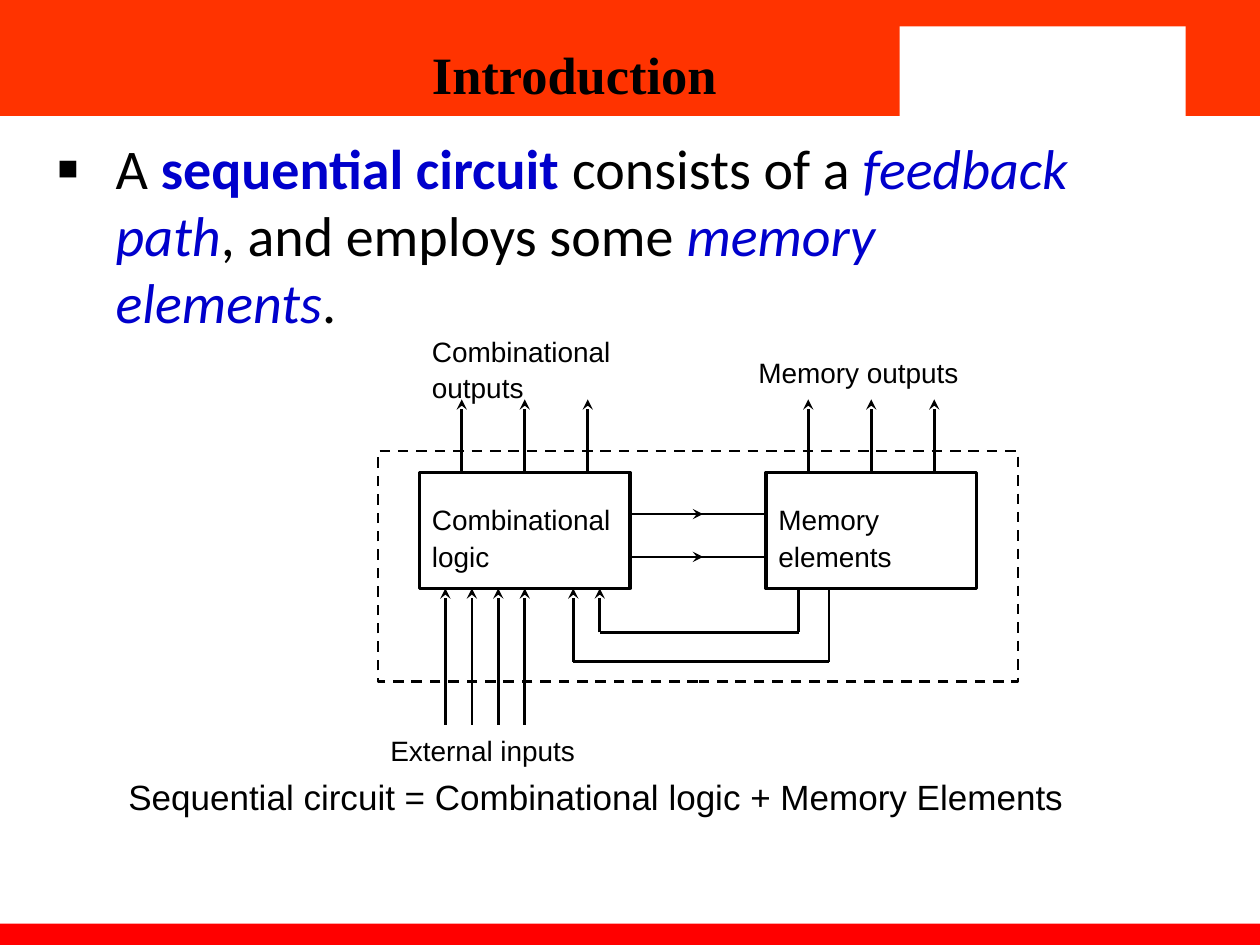
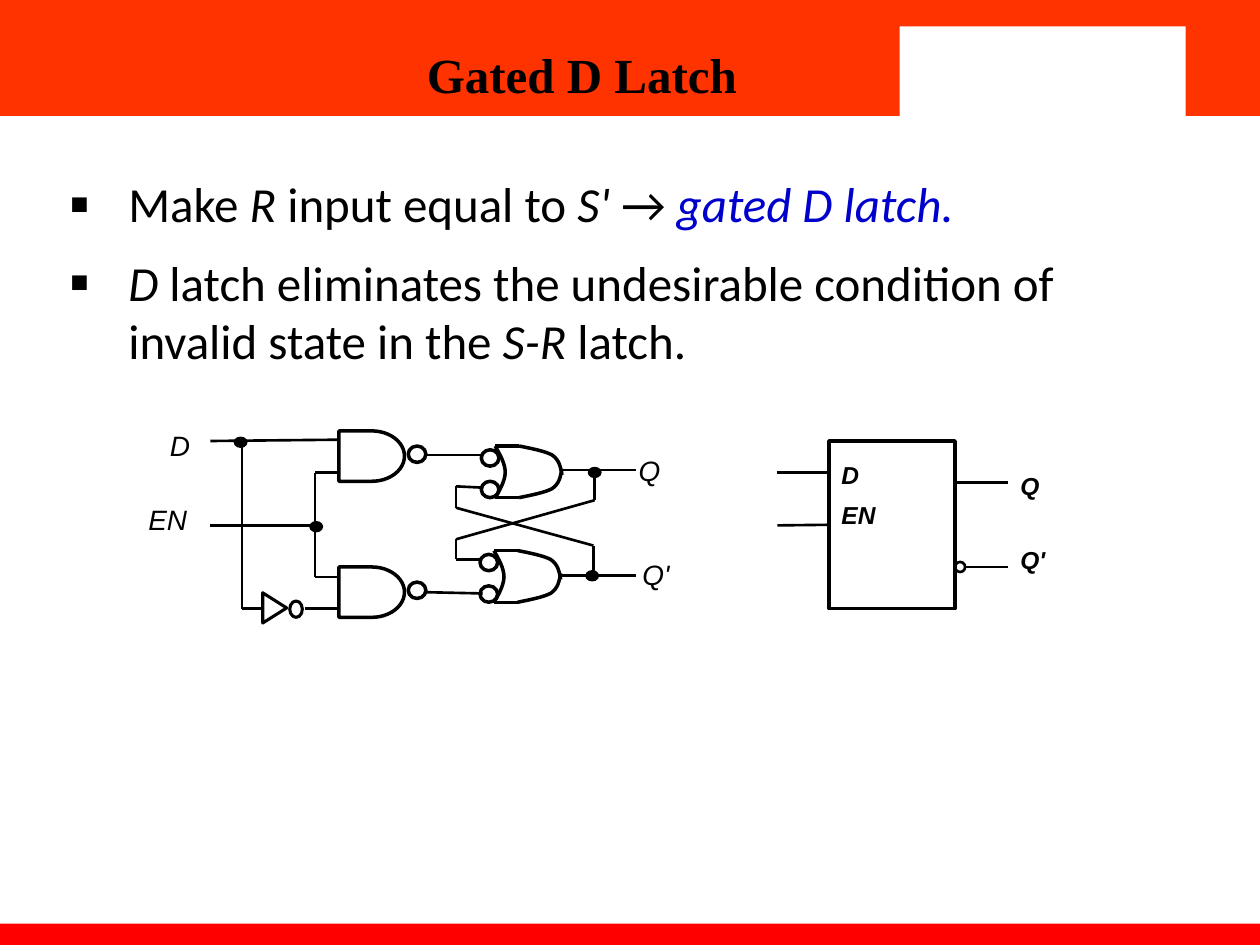
from dataclasses import dataclass

from lxml import etree
from pptx import Presentation, util as u
from pptx.dml.color import RGBColor
from pptx.enum import dml, shapes, text
from pptx.oxml.ns import qn

Inches, Pt = u.Inches, u.Pt
SHAPE = shapes.MSO_SHAPE


@dataclass(frozen=True)
class Theme:
    band: str = "FF3300"
    footer: str = "FF0000"
    ink: str = "000000"
    paper: str = "FFFFFF"
    accent: str = "0000CC"
    title_font: str = "Times New Roman"
    body_font: str = "Calibri"
    label_font: str = "Arial"
    label_size: int = 16
    symbol_size: int = 14
    formula_size: int = 20
    leading: float = 1.3
    wire: float = 1.5
    outline: float = 2
    inverter: float = 1.75
    dot: float = 0.75


THEME = Theme()


def add_span(para, words, font, size, color=THEME.ink, bold=False, italic=False):
    span = para.add_run()
    span.text = words
    span.font.name, span.font.size = font, Pt(size)
    span.font.bold, span.font.italic = bold, italic
    span.font.color.rgb = RGBColor.from_string(color)


def add_bullet(para):
    properties = para._p.get_or_add_pPr()
    properties.set("marL", str(Inches(0.5)))
    properties.set("indent", str(Inches(-0.47)))
    color = etree.SubElement(properties, qn("a:buClr"))
    etree.SubElement(color, qn("a:srgbClr"), val=THEME.ink)
    etree.SubElement(properties, qn("a:buSzPct"), val="120000")
    etree.SubElement(properties, qn("a:buFont"), typeface=THEME.label_font)
    etree.SubElement(properties, qn("a:buChar"), char="▪")


def bezier(points, steps=8):
    """Sample a chain of cubic curves given as start, then triples."""
    sampled = [points[0]]
    for first in range(0, len(points) - 1, 3):
        corners = points[first:first + 4]
        for step in range(1, steps + 1):
            t = step / steps
            weights = ((1 - t) ** 3, 3 * t * (1 - t) ** 2, 3 * t * t * (1 - t), t ** 3)
            sampled.append(tuple(sum(w * c[axis] for w, c in zip(weights, corners))
                                 for axis in (0, 1)))
    return sampled


class Painter:
    def __init__(self, deck, theme):
        self.deck, self.theme, self.page = deck, theme, None

    def start_page(self, title, left, width, size):
        self.page = self.deck.slides.add_slide(self.deck.slide_layouts[6])
        theme = self.theme
        # Header bands, white panel and footer
        for area, fill in (((0, 0, 10, 0.92), theme.band),
                           ((0, 7.33, 10, 0.17), theme.footer),
                           ((6.72, 0, 3.28, 0.92), theme.band),
                           ((7.14, 0.21, 2.27, 0.75), theme.paper)):
            self.shape(SHAPE.RECTANGLE, *area, fill=fill)
        box = self.text_box(left, 0.17, width, 0.83)
        box.vertical_anchor = text.MSO_ANCHOR.MIDDLE
        add_span(box.paragraphs[0], title, theme.title_font, size, bold=True)

    def finish(self, shape, fill, weight):
        shape.shadow.inherit = False
        if fill:
            shape.fill.solid()
            shape.fill.fore_color.rgb = RGBColor.from_string(fill)
        else:
            shape.fill.background()
        if weight:
            shape.line.color.rgb = RGBColor.from_string(self.theme.ink)
            shape.line.width = Pt(weight)
        else:
            shape.line.fill.background()
        return shape

    def shape(self, kind, left, top, width, height, fill=None, weight=None):
        shape = self.page.shapes.add_shape(
            kind, Inches(left), Inches(top), Inches(width), Inches(height))
        return self.finish(shape, fill, weight)

    def curve(self, points):
        corners = [(Inches(x), Inches(y)) for x, y in bezier(points)]
        builder = self.page.shapes.build_freeform(*corners[0])
        builder.add_line_segments(corners[1:], close=False)
        return self.finish(builder.convert_to_shape(), None, self.theme.outline)

    def line(self, x1, y1, x2, y2, weight=None, arrow=False, begin=None, end=None):
        """Draw a line; begin and end are (shape, side) joints."""
        line = self.page.shapes.add_connector(
            shapes.MSO_CONNECTOR.STRAIGHT, Inches(x1), Inches(y1), Inches(x2), Inches(y2))
        line.line.color.rgb = RGBColor.from_string(self.theme.ink)
        line.line.width = Pt(weight or self.theme.wire)
        properties = line._element.spPr
        if arrow:
            etree.SubElement(properties.find(qn("a:ln")), qn("a:tailEnd"), type="stealth")
        etree.SubElement(properties, qn("a:effectLst"))
        if begin:
            line.begin_connect(*begin)
        if end:
            line.end_connect(*end)

    def wire(self, *points):
        for start, stop in zip(points, points[1:]):
            self.line(*start, *stop)

    def dot(self, left, top):
        self.shape(SHAPE.OVAL, left, top, 0.1, 0.08, self.theme.ink, self.theme.dot)

    def bubble(self, left, top):
        self.shape(SHAPE.OVAL, left, top, 0.14, 0.13, weight=self.theme.outline)

    def text_box(self, left, top, width, height):
        box = self.page.shapes.add_textbox(
            Inches(left), Inches(top), Inches(width), Inches(height)).text_frame
        box.word_wrap = True
        return box

    def label(self, lines, left, top, width, height, size=None, gap=0, **style):
        size = size or self.theme.label_size
        box = self.text_box(left, top, width, height)
        for index, words in enumerate(lines):
            para = box.add_paragraph() if index else box.paragraphs[0]
            para.line_spacing = Pt(size * self.theme.leading)
            para.space_before = Pt(gap if index else 0)
            add_span(para, words, self.theme.label_font, size, **style)

    def bullets(self, items, left, top, width, height, size):
        box = self.text_box(left, top, width, height)
        for index, spans in enumerate(items):
            para = box.add_paragraph() if index else box.paragraphs[0]
            add_bullet(para)
            para.space_before = Pt(0.4 * size if index else 0)
            for words, style in spans:
                add_span(para, words, self.theme.body_font, size, **style)


PLAIN, ITALIC = {}, {"italic": True}
KEY = {"color": THEME.accent, "bold": True}
TERM = {"color": THEME.accent, "italic": True}


def introduction(painter):
    theme = painter.theme
    painter.start_page("Introduction", 3.33, 3.33, 30)
    painter.bullets([[("A ", PLAIN), ("sequential circuit", KEY), (" consists of a ", PLAIN),
                      ("feedback path", TERM), (", and employs some ", PLAIN),
                      ("memory elements", TERM), (".", PLAIN)]], 0.32, 1.01, 8.5, 0.92, 32)

    # Logic and memory blocks with three outputs each
    top, bottom, width = 3.75, 4.67, 1.67
    blocks = []
    for left, words in ((3.33, "Combinational logic"), (6.08, "Memory elements")):
        block = painter.shape(SHAPE.RECTANGLE, left, top, width, bottom - top,
                              weight=theme.outline)
        blocks.append(block)
        painter.label([words], left, 3.92, width, 0.67)
        for offset in (-0.5, 0, 0.5):
            x = left + width / 2 + offset
            painter.line(x, top, x, 3.17, arrow=True,
                         begin=None if offset else (block, 0))

    # Links from logic to memory, with the arrowhead halfway
    for y in (4.08, 4.42):
        painter.line(5, y, 5.58, y, arrow=True)
        painter.line(5.5, y, 6.08, y)

    # External inputs
    middle = 3.33 + width / 2
    for step in range(4):
        x = middle - 0.21 * step
        painter.line(x, 5.75, x, bottom, arrow=True,
                     end=None if step else (blocks[0], 2))

    # Feedback paths
    for logic_x, memory_x, y in ((4.55, 6.58, 5.25), (4.76, 6.34, 5.02)):
        painter.line(logic_x, y, logic_x, bottom, arrow=True)
        painter.wire((logic_x, y), (memory_x, y), (memory_x, bottom))

    # Labels, circuit boundary and summary
    painter.label(["Combinational outputs"], 3.33, 2.58, 1.67, 0.67)
    painter.label(["Memory outputs"], 5.92, 2.75, 1.92, 0.4)
    painter.label(["External inputs"], 3, 5.75, 1.83, 0.4)
    boundary = painter.shape(SHAPE.RECTANGLE, 3, 3.58, 5.08, 1.83, weight=theme.wire)
    boundary.line.dash_style = dml.MSO_LINE.DASH
    painter.label(["Sequential circuit = Combinational logic + Memory Elements"],
                  0.92, 6.08, 7.67, 0.42, theme.formula_size)


def or_gate(painter, left, top):
    """OR gate with two inverted inputs."""
    height = 0.41
    back = [(0, 0), (0.04, 0.07), (0.08, 0.14), (0.08, 0.21),
            (0.08, 0.28), (0.02, 0.38), (0, height)]
    shoulder = [(0.19, 0), (0.29, 0.02), (0.39, 0.04), (0.45, 0.07),
                (0.51, 0.11), (0.52, 0.17), (0.53, 0.23)]
    painter.curve([(left + x, top + y) for x, y in back])
    for edge, sign in ((top, 1), (top + height, -1)):
        painter.line(left, edge, left + 0.19, edge, painter.theme.outline)
        painter.curve([(left + x, edge + sign * y) for x, y in shoulder])
    for y in (0.03, 0.28):
        painter.bubble(left - 0.11, top + y)


def latch_symbol(painter):
    theme = painter.theme
    block = painter.shape(SHAPE.RECTANGLE, 6.58, 3.5, 1, 1.33, weight=theme.outline)
    painter.line(6.17, 3.75, 6.58, 3.75)
    painter.line(6.17, 4.17, 6.58, 4.17, end=(block, 1))
    painter.line(7.58, 3.83, 8, 3.83)
    painter.shape(SHAPE.OVAL, 7.58, 4.46, 0.08, 0.08, weight=theme.wire)
    painter.line(7.67, 4.5, 8, 4.5)
    style = {"size": theme.symbol_size, "bold": True, "italic": True}
    painter.label(["D", "EN"], 6.58, 3.58, 0.58, 0.69, gap=5, **style)
    painter.label(["Q", "Q'"], 8, 3.67, 0.5, 0.95, gap=24, **style)


def latch_circuit(painter):
    theme = painter.theme
    # Input wires and junctions
    painter.wire((1.67, 3.5), (2.68, 3.49))
    painter.wire((1.92, 3.5), (1.92, 4.83), (2.08, 4.83))
    painter.wire((2.42, 4.83), (2.69, 4.83))
    painter.wire((1.67, 4.17), (2.5, 4.17))
    painter.wire((2.69, 3.75), (2.5, 3.75), (2.5, 4.58), (2.69, 4.58))

    # Gate links, cross-coupled feedback and outputs
    painter.wire((3.39, 3.61), (3.82, 3.61))
    painter.wire((3.38, 4.7), (3.83, 4.71))
    painter.wire((3.82, 3.87), (3.62, 3.86), (3.62, 4.03), (4.71, 4.33), (4.71, 4.58))
    painter.wire((3.82, 4.44), (3.62, 4.44), (3.62, 4.28), (4.72, 3.97), (4.72, 3.73))
    for y in (3.73, 4.57):
        painter.wire((4.46, y), (5.05, y))
    for left, top in ((1.86, 3.47), (2.46, 4.14), (4.67, 3.71), (4.65, 4.53)):
        painter.dot(left, top)

    # NAND gates, OR gates and inverter
    for top in (3.42, 4.5):
        painter.shape(SHAPE.FLOWCHART_DELAY, 2.69, top, 0.52, 0.4, weight=theme.outline)
        painter.bubble(3.24, top + 0.12)
    or_gate(painter, 3.93, 3.54)
    or_gate(painter, 3.92, 4.37)
    inverter = painter.shape(SHAPE.FLOWCHART_EXTRACT, 2.06, 4.73, 0.24, 0.19,
                             weight=theme.inverter)
    inverter.rotation = 90
    painter.shape(SHAPE.OVAL, 2.3, 4.77, 0.1, 0.13, weight=theme.inverter)

    # Signal names
    for name, left, top, width in (("D", 1.25, 3.33, 0.48), ("EN", 1.08, 3.92, 0.6),
                                   ("Q", 4.97, 3.53, 0.46), ("Q'", 5, 4.35, 0.46)):
        painter.label([name], left, top, width, 0.37, italic=True)


def gated_d_latch(painter):
    painter.start_page("Gated D Latch", 3.29, 2.97, 28)
    painter.bullets([
        [("Make ", PLAIN), ("R", ITALIC), (" input equal to ", PLAIN), ("S' ", ITALIC),
         ("→ ", PLAIN), ("gated D latch.", TERM)],
        [("D", ITALIC),
         (" latch eliminates the undesirable condition of invalid state in the ", PLAIN),
         ("S-R", ITALIC), (" latch.", PLAIN)]], 0.42, 1.33, 8.42, 1.5, 28)
    latch_symbol(painter)
    latch_circuit(painter)


def main():
    deck = Presentation()
    deck.slide_width, deck.slide_height = Inches(10), Inches(7.5)
    painter = Painter(deck, THEME)
    introduction(painter)
    gated_d_latch(painter)
    deck.save("out.pptx")


if __name__ == "__main__":
    main()
